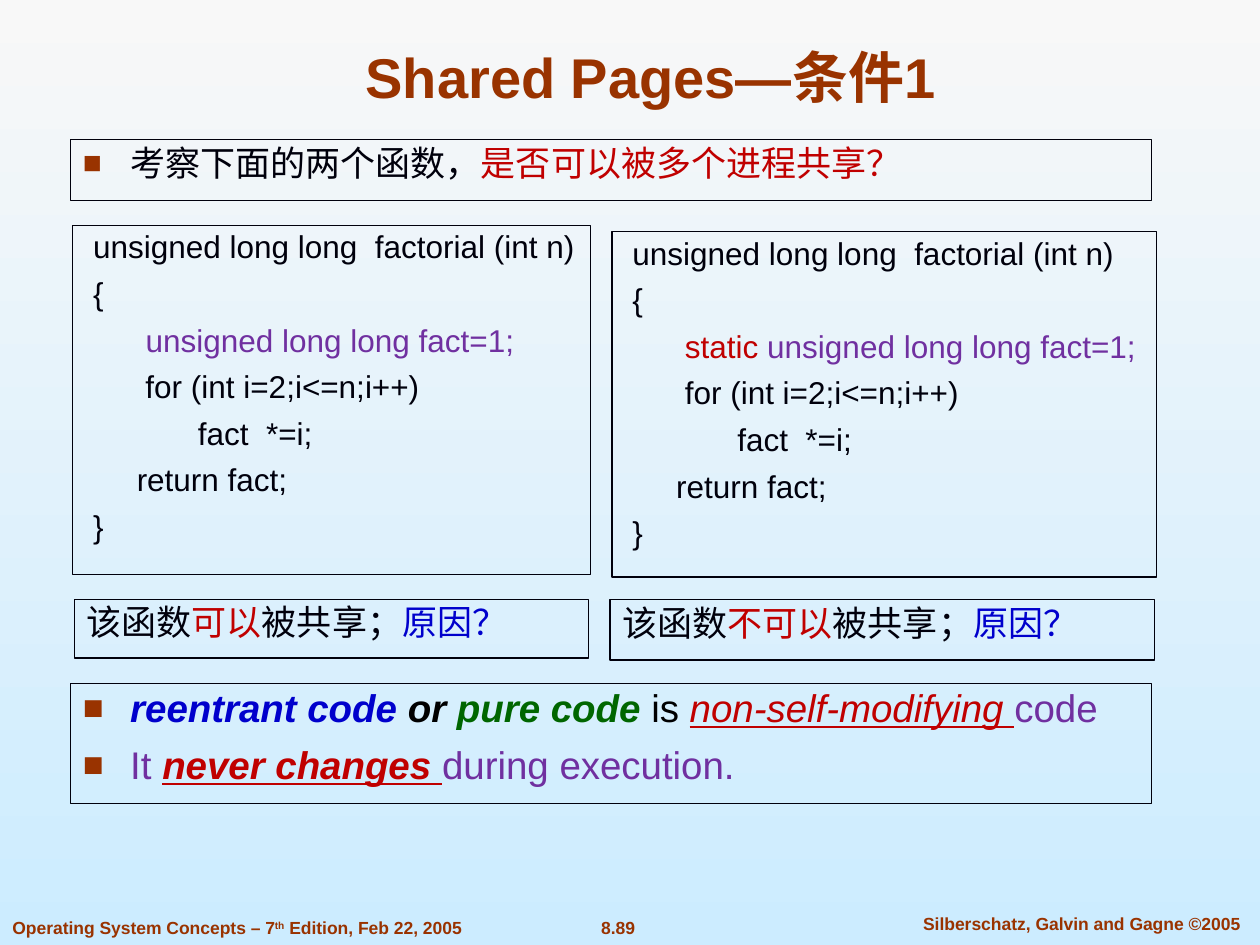
from dataclasses import dataclass

from lxml import etree
from pptx import Presentation
from pptx import util as u
from pptx.dml.color import RGBColor
from pptx.enum import shapes, text
from pptx.oxml import ns

COLOURS = {
    "ink": "00000C", "black": "000000", "rust": "993300", "red": "C00000",
    "purple": "7030A0", "blue": "0000CC", "green": "006600",
    "sky_top": "F8F8F8", "sky_bottom": "CCECFF",
}
FONT = "Arial"


@dataclass(frozen=True)
class Span:
    text: str
    colour: str | None = None
    bold: bool | None = None
    italic: bool | None = None
    underline: bool | None = None
    raised: bool = False


@dataclass(frozen=True)
class Panel:
    left: float
    top: float
    width: float
    height: float
    lines: list[list[Span]]
    size: float
    bulleted: bool = False
    indent: float = 0


@dataclass(frozen=True)
class Label:
    left: float
    top: float
    width: float
    height: float
    spans: list[Span]
    size: float = 10
    centred: bool = True
    wrap: bool = False
    anchor: text.MSO_ANCHOR = text.MSO_ANCHOR.TOP


def rgb(name: str) -> RGBColor:
    """Return the named colour."""
    return RGBColor.from_string(COLOURS[name])


def add_bullet(para) -> None:
    """Give a paragraph a hanging square bullet."""
    props = para._p.get_or_add_pPr()
    props.set("marL", str(u.Pt(27)))
    props.set("indent", str(u.Pt(-27)))
    colour = etree.SubElement(props, ns.qn("a:buClr"))
    etree.SubElement(colour, ns.qn("a:srgbClr"), val=COLOURS["rust"])
    etree.SubElement(props, ns.qn("a:buSzPct"), val="90000")
    etree.SubElement(props, ns.qn("a:buFont"), typeface=FONT)
    etree.SubElement(props, ns.qn("a:buChar"), char="■")


def write_spans(para, spans: list[Span], size: float, colour: str) -> None:
    """Set the paragraph font and add the spans as runs."""
    para.font.name = FONT
    para.font.size = u.Pt(size)
    para.font.color.rgb = rgb(colour)
    for span in spans:
        run = para.add_run()
        run.text = span.text
        run.font.bold = span.bold
        run.font.italic = span.italic
        run.font.underline = span.underline
        if span.colour:
            run.font.color.rgb = rgb(span.colour)
        if span.raised:
            run._r.get_or_add_rPr().set("baseline", "30000")


def draw_panel(page, panel: Panel) -> None:
    """Draw an outlined rectangle with its lines of text."""
    box = page.shapes.add_shape(
        shapes.MSO_SHAPE.RECTANGLE,
        *map(u.Pt, (panel.left, panel.top, panel.width, panel.height)))
    box.shadow.inherit = False
    box.fill.background()
    box.line.color.rgb = rgb("ink")
    box.line.width = u.Pt(0.75)
    frame = box.text_frame
    frame.word_wrap = True
    frame.vertical_anchor = text.MSO_ANCHOR.TOP
    for index, spans in enumerate(panel.lines):
        para = frame.add_paragraph() if index else frame.paragraphs[0]
        if panel.bulleted:
            add_bullet(para)
        elif panel.indent:
            para._p.get_or_add_pPr().set("marL", str(u.Pt(panel.indent)))
        para.alignment = text.PP_ALIGN.LEFT
        para.line_spacing = 0.9
        if index:
            para.space_before = u.Pt(round(0.4 * panel.size, 1))
        write_spans(para, spans, panel.size, "ink")


def draw_label(page, label: Label) -> None:
    """Draw a bold rust-coloured text box."""
    box = page.shapes.add_textbox(
        *map(u.Pt, (label.left, label.top, label.width, label.height)))
    frame = box.text_frame
    frame.word_wrap = label.wrap
    frame.vertical_anchor = label.anchor
    para = frame.paragraphs[0]
    para.alignment = text.PP_ALIGN.CENTER if label.centred else text.PP_ALIGN.LEFT
    para.font.bold = True
    write_spans(para, label.spans, label.size, "rust")


def code_lines(declaration: list[Span]) -> list[list[Span]]:
    """Return the factorial function around its declaration."""
    return [
        [Span("unsigned long long  factorial (int n)")],
        [Span("{")],
        [Span("      "), *declaration],
        [Span("      for (int i=2;i<=n;i++)")],
        [Span("            fact  *=i;")],
        [Span("     return fact;")],
        [Span("}")],
    ]


def verdict(answer: str) -> list[list[Span]]:
    """Return the line that says whether the function can be shared."""
    return [[Span("该函数"), Span(answer, "red"), Span("被共享；"),
             Span("原因？", "blue")]]


QUESTION = [[Span("考察下面的两个函数，"), Span("是否可以被多个进程共享？", "red")]]
LOCAL = [Span("unsigned long long fact=1;", "purple")]
STATIC = [Span("static", "red"), Span(" unsigned long long fact=1;", "purple")]
DEFINITION = [
    [Span("reentrant code ", "blue", True, True),
     Span("or ", "black", True, True),
     Span("pure code ", "green", True, True),
     Span("is ", "black"),
     Span("non-self-modifying ", "red", italic=True, underline=True),
     Span("code", "purple")],
    [Span("It ", "purple"),
     Span("never changes ", "red", True, True, True),
     Span("during execution.", "purple")],
]

PANELS = [
    Panel(40.3, 79.9, 617.8, 34.6, QUESTION, 20, bulleted=True),
    Panel(41.6, 128.8, 296, 199.5, code_lines(LOCAL), 18, indent=4.5),
    Panel(349.8, 132.4, 311, 197.4, code_lines(STATIC), 18, indent=4.5),
    Panel(42.4, 342.6, 294, 33.4, verdict("可以"), 20),
    Panel(348.6, 342.6, 311, 34.6, verdict("不可以"), 20),
    Panel(40.3, 390.4, 617.8, 68.8, DEFINITION, 22, bulleted=True),
]
LABELS = [
    Label(54, 18, 635.8, 48.2, [Span("Shared Pages—条件1")], 32, wrap=True,
          anchor=text.MSO_ANCHOR.BOTTOM),
    Label(0, 520.6, 303, 19.4,
          [Span("Operating System Concepts – 7"), Span("th", raised=True),
           Span(" Edition, Feb 22, 2005")], centred=False),
    Label(334.1, 520.6, 38.2, 19.4, [Span("8.89")]),
    Label(511.2, 518.4, 213.8, 19.4,
          [Span("Silberschatz, Galvin and Gagne ©2005")], wrap=True),
]


def main() -> None:
    """Build the slide and save it."""
    deck = Presentation()
    deck.slide_width, deck.slide_height = u.Pt(720), u.Pt(540)
    page = deck.slides.add_slide(deck.slide_layouts[6])
    fill = page.background.fill
    fill.gradient()
    fill.gradient_angle = 270
    for stop, name in zip(fill.gradient_stops, ("sky_top", "sky_bottom")):
        stop.color.rgb = rgb(name)
    for label in LABELS:
        draw_label(page, label)
    for panel in PANELS:
        draw_panel(page, panel)
    deck.save("out.pptx")


if __name__ == "__main__":
    main()
